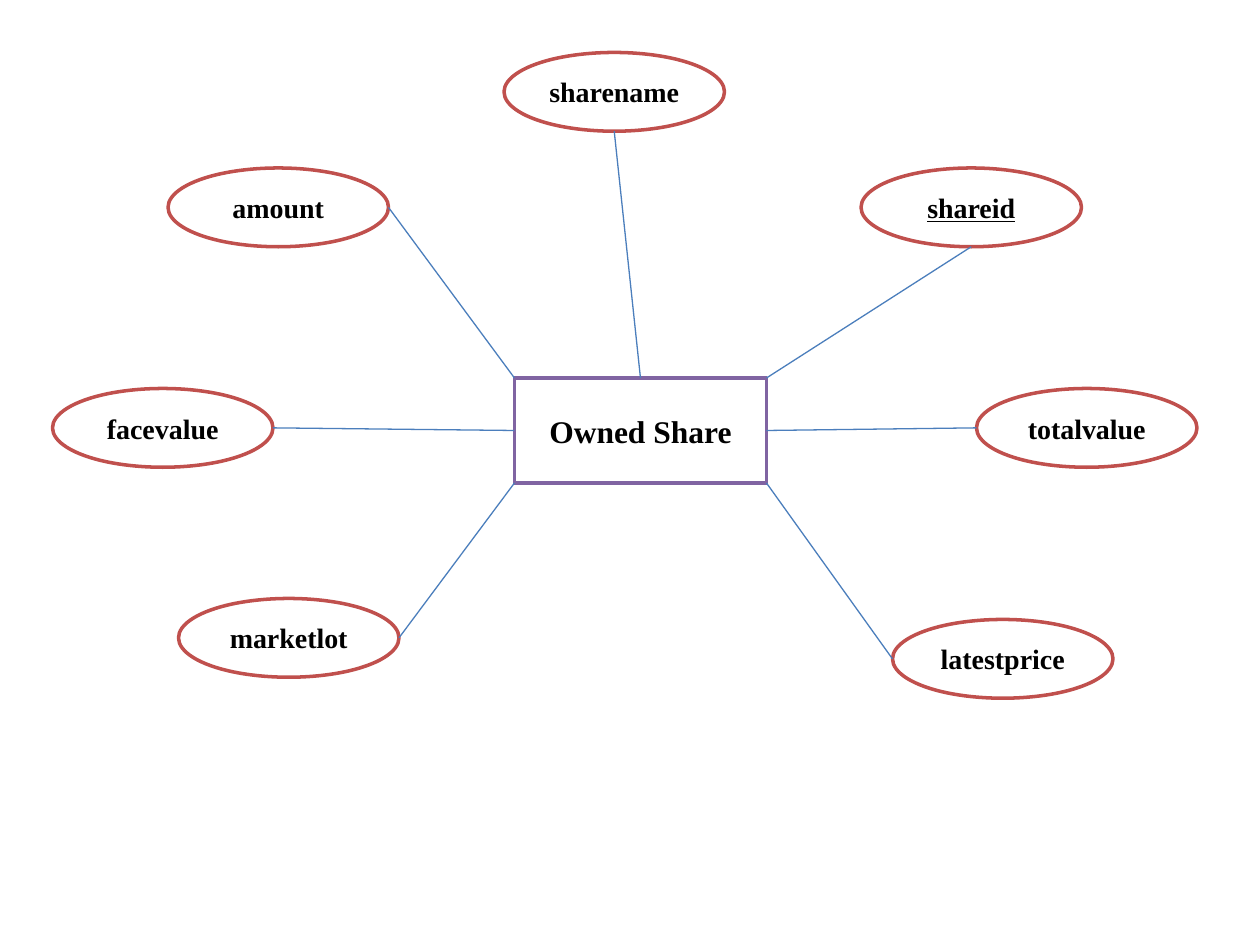
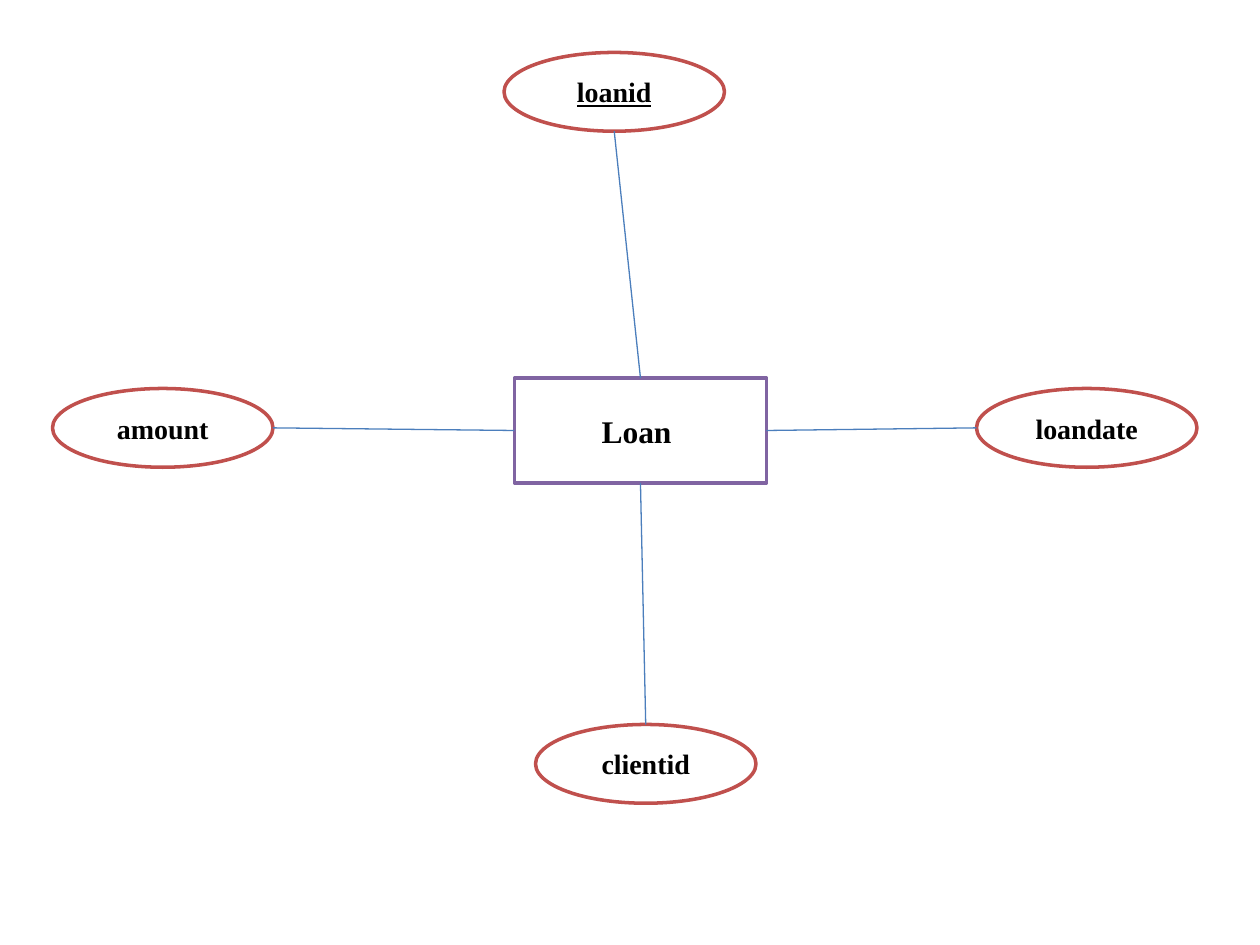
from lxml.etree import SubElement
from pptx import Presentation
from pptx.dml.color import RGBColor
from pptx.enum.shapes import MSO_CONNECTOR, MSO_SHAPE
from pptx.enum.text import MSO_ANCHOR, PP_ALIGN
from pptx.oxml.ns import qn
from pptx.util import Inches, Pt

FONT = "Times New Roman"
WHITE, BLACK = "FFFFFF", "000000"
PURPLE, RED, BLUE = "8064A2", "C0504D", "4B7EBC"

WIDTH, HEIGHT = Inches(10), Inches(7.5)
COLUMNS = 120
CELL = WIDTH // COLUMNS

ENTITY_PLACE = (49, 36, 24, 10)
ATTRIBUTE_SIZE = (21, 7.5)

TOP, LEFT, BOTTOM, RIGHT = (0.5, 0), (0, 0.5), (0.5, 1), (1, 0.5)
TOP_LEFT, TOP_RIGHT, BOTTOM_LEFT, BOTTOM_RIGHT = (0, 0), (1, 0), (0, 1), (1, 1)
SITES = {TOP: 0, LEFT: 1, BOTTOM: 2, RIGHT: 3}

# Each attribute: name, column, row, its own anchor, the entity's anchor, is key.
OWNED_SHARE = [
    ("sharename", 48, 5, BOTTOM, TOP, False),
    ("shareid", 82, 16, BOTTOM, TOP_RIGHT, True),
    ("latestprice", 85, 59, LEFT, BOTTOM_RIGHT, False),
    ("amount", 16, 16, RIGHT, TOP_LEFT, False),
    ("totalvalue", 93, 37, LEFT, RIGHT, False),
    ("marketlot", 17, 57, RIGHT, BOTTOM_LEFT, False),
    ("facevalue", 5, 37, RIGHT, LEFT, False),
]
LOAN = [
    ("loanid", 48, 5, BOTTOM, TOP, True),
    ("clientid", 51, 69, TOP, BOTTOM, False),
    ("loandate", 93, 37, LEFT, RIGHT, False),
    ("amount", 5, 37, RIGHT, LEFT, False),
]


def colour(hex_string):
    """Turn a hex string into a colour."""
    return RGBColor.from_string(hex_string)


def add_node(page, kind, place, text, outline, size, underline=False):
    """Add an outlined white shape with a bold centred label."""
    node = page.shapes.add_shape(kind, *(int(cells * CELL) for cells in place))
    node.shadow.inherit = False
    node.fill.solid()
    node.fill.fore_color.rgb = colour(WHITE)
    node.line.color.rgb = colour(outline)
    node.line.width = Pt(2)
    frame = node.text_frame
    frame.text = text
    frame.vertical_anchor = MSO_ANCHOR.MIDDLE
    para = frame.paragraphs[0]
    para.alignment = PP_ALIGN.CENTER
    font = para.runs[0].font
    font.name, font.size, font.bold = FONT, Pt(size), True
    font.color.rgb = colour(BLACK)
    if underline:
        font.underline = True
    return node


def anchor_point(node, anchor):
    """Find the point at the given shares of a shape's width and height."""
    across, down = anchor
    return int(node.left + across * node.width), int(node.top + down * node.height)


def add_link(page, attribute, attribute_anchor, entity, entity_anchor):
    """Draw a thin line from an attribute to its entity."""
    link = page.shapes.add_connector(
        MSO_CONNECTOR.STRAIGHT,
        *anchor_point(attribute, attribute_anchor),
        *anchor_point(entity, entity_anchor),
    )
    if attribute_anchor == TOP:
        link.begin_connect(attribute, SITES[TOP])
    if entity_anchor in SITES:
        link.end_connect(entity, SITES[entity_anchor])
    link.line.color.rgb = colour(BLUE)
    link.line.width = Pt(0.75)
    SubElement(link._element.spPr, qn("a:effectLst"))


def add_entity_page(deck, name, attributes):
    """Add a page with one entity, its attributes and the links between them."""
    page = deck.slides.add_slide(deck.slide_layouts[6])
    entity = add_node(page, MSO_SHAPE.RECTANGLE, ENTITY_PLACE, name, PURPLE, 18)
    ovals = [
        add_node(page, MSO_SHAPE.OVAL, (column, row, *ATTRIBUTE_SIZE),
                 label, RED, 16, is_key)
        for label, column, row, _, _, is_key in attributes
    ]
    for oval, (_, _, _, oval_anchor, entity_anchor, _) in zip(ovals, attributes):
        add_link(page, oval, oval_anchor, entity, entity_anchor)


def main():
    """Build the deck of entity diagrams."""
    deck = Presentation()
    deck.slide_width, deck.slide_height = WIDTH, HEIGHT
    add_entity_page(deck, "Owned Share", OWNED_SHARE)
    add_entity_page(deck, "Loan ", LOAN)
    deck.save("out.pptx")


if __name__ == "__main__":
    main()
